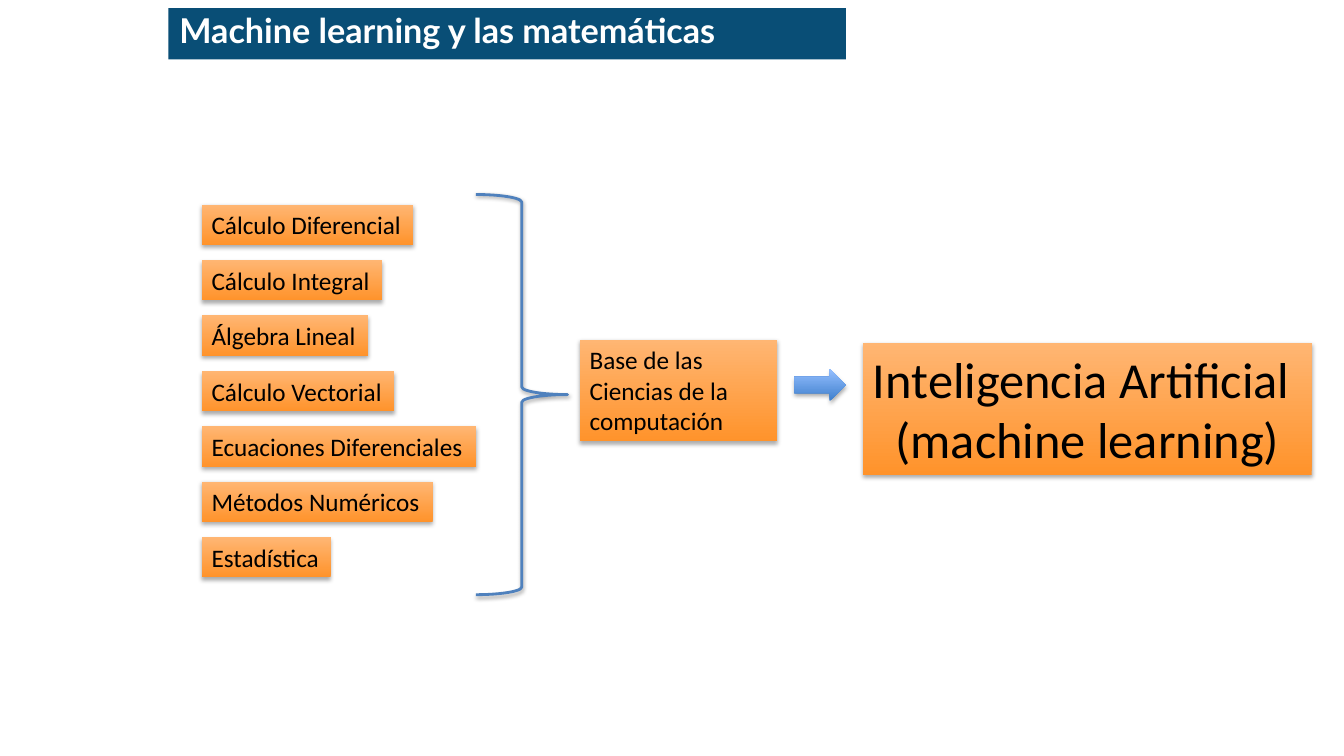
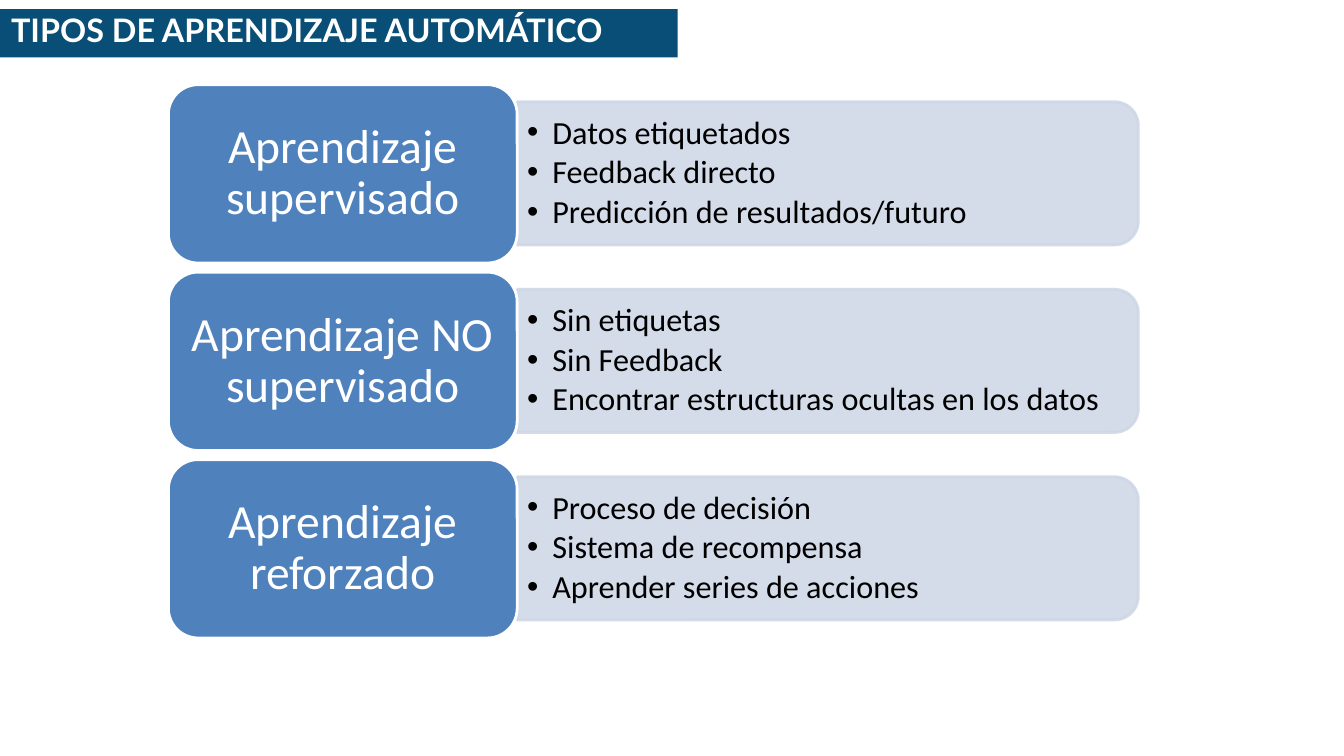
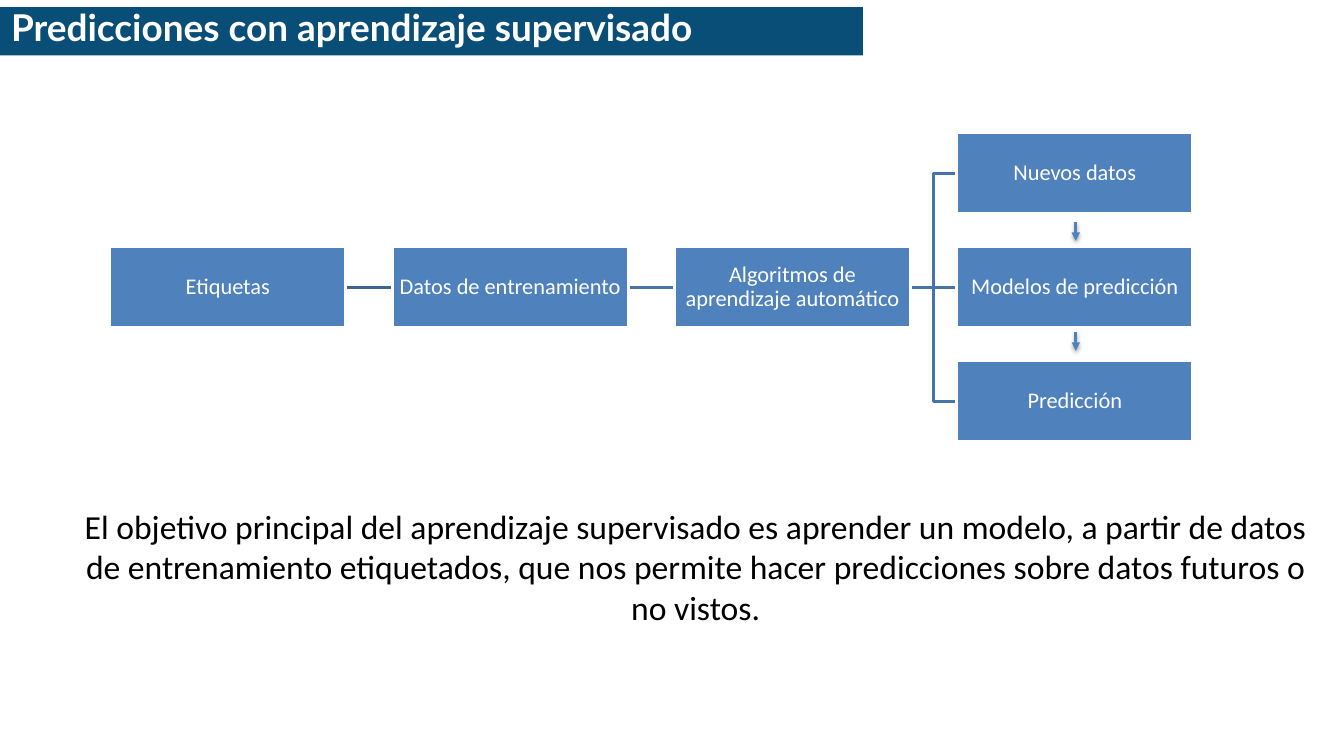
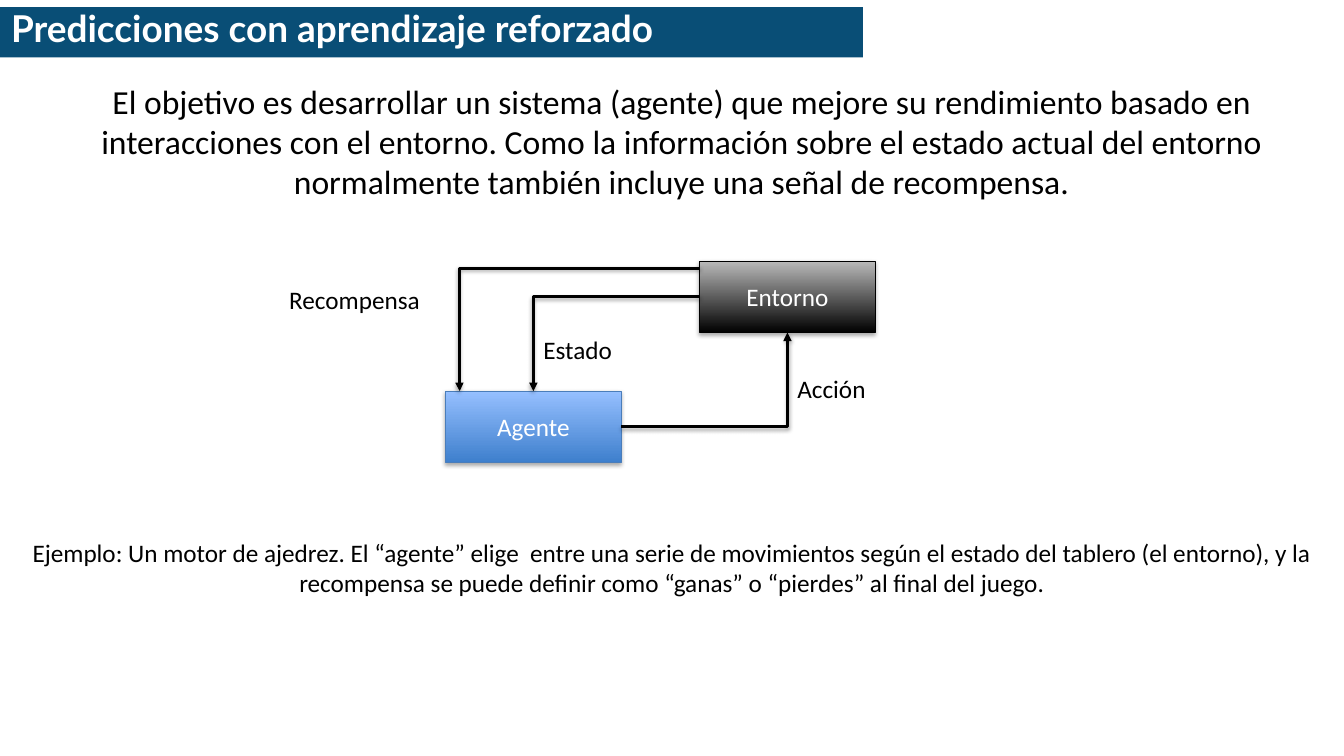
from lxml import etree
from pptx import Presentation
from pptx import util as u
from pptx.dml import color
from pptx.enum import shapes, text
from pptx.oxml import ns

COLORS = {
    "navy": "094E76", "blue": "4F81BD", "blue_edge": "4A7DBA", "pale": "CFD7E7",
    "tree": "4674AA", "tree_dark": "3B6495", "black": "000000", "white": "FFFFFF",
}
GRADIENTS = {
    "orange": ("FF932B", "FFB673"),
    "sky": ("3E7FCD", "96C0FF"),
    "dark": ("000000", "BABABA"),
}
SHAPE = shapes.MSO_SHAPE
LEFT, CENTER = text.PP_ALIGN.LEFT, text.PP_ALIGN.CENTER
TOP, MIDDLE = text.MSO_ANCHOR.TOP, text.MSO_ANCHOR.MIDDLE


def rgb(name):
    return color.RGBColor.from_string(COLORS[name])


def child(parent, tag, **attrs):
    el = etree.SubElement(parent, ns.qn(tag))
    for key, value in attrs.items():
        el.set(key, str(value))
    return el


class Deck:
    def __init__(self):
        self.prs = Presentation()
        self.prs.slide_width, self.prs.slide_height = u.Inches(13.33), u.Inches(7.5)
        self.s = None

    def slide(self, title, size, x, y, w, h):
        self.s = self.prs.slides.add_slide(self.prs.slide_layouts[6])
        sp = self.shape(SHAPE.RECTANGLE, x, y, w, h, "navy")
        self.set_text(sp, [title], size, "white", LEFT, MIDDLE, (0.11, 0.06), 0.8)
        f = sp.text_frame.paragraphs[0].font
        f.name, f.bold = "Lato", True

    def set_text(self, sp, lines, size, ink="black", align=LEFT, anchor=TOP,
                 inset=(0.1, 0.05), spacing=None, bullets=False):
        tf = sp.text_frame
        tf.word_wrap = True
        tf.vertical_anchor = anchor
        tf.margin_left = tf.margin_right = u.Inches(inset[0])
        tf.margin_top = tf.margin_bottom = u.Inches(inset[1])
        for i, line in enumerate(lines):
            p = tf.add_paragraph() if i else tf.paragraphs[0]
            p.text = line
            p.alignment = align
            if bullets:
                p.level = 1
                pPr = p._p.get_or_add_pPr()
                pPr.set("marL", str(u.Inches(0.25)))
                pPr.set("indent", str(u.Inches(-0.25)))
                child(pPr, "a:buFont", typeface="Arial")
                child(pPr, "a:buChar", char="•")
                if i:
                    p.space_before = u.Pt(3.5)
            if spacing:
                p.line_spacing = spacing
            p.font.name, p.font.size = "Calibri", u.Pt(size)
            p.font.color.rgb = rgb(ink)

    def shade(self, effects, alpha, dist):
        shadow = child(effects, "a:outerShdw", blurRad=u.Pt(3.1), dist=u.Pt(dist),
                       dir=5400000, rotWithShape=0)
        child(child(shadow, "a:srgbClr", val=COLORS["black"]), "a:alpha", val=alpha * 1000)

    def shape(self, kind, x, y, w, h, fill=None, line=None, weight=2.0, shadow=None):
        sp = self.s.shapes.add_shape(kind, *map(u.Inches, (x, y, w, h)))
        if fill in GRADIENTS:
            sp.fill.gradient()
            sp.fill.gradient_angle = 90
            for stop, value in zip(sp.fill.gradient_stops, GRADIENTS[fill]):
                stop.color.rgb = color.RGBColor.from_string(value)
        elif fill:
            sp.fill.solid()
            sp.fill.fore_color.rgb = rgb(fill)
        else:
            sp.fill.background()
        if line:
            sp.line.color.rgb = rgb(line)
            sp.line.width = u.Pt(weight)
        else:
            sp.line.fill.background()
        sp.shadow.inherit = False
        if shadow:
            self.shade(sp._element.spPr.find(ns.qn("a:effectLst")), *shadow)
        return sp

    def card(self, x, y, w, h, lines, size=18):
        sp = self.shape(SHAPE.RECTANGLE, x, y, w, h, "orange", shadow=(33, 1.8))
        self.set_text(sp, lines, size)
        return sp

    def node(self, x, y, w, h, label, fill, line, weight=2.0, size=18, shadow=None,
             inset=(0.1, 0.05), spacing=None, kind=SHAPE.RECTANGLE):
        sp = self.shape(kind, x, y, w, h, fill, line, weight, shadow)
        self.set_text(sp, [label], size, "white", CENTER, MIDDLE, inset, spacing)
        return sp

    def textbox(self, x, y, w, h, lines, size, **style):
        sp = self.s.shapes.add_textbox(*map(u.Inches, (x, y, w, h)))
        self.set_text(sp, lines, size, **style)

    def bands(self, x, y, w, h, items):
        sp = self.shape(SHAPE.ROUND_2_SAME_RECTANGLE, x + (w - h) / 2, y - (w - h) / 2,
                        h, w, "pale", "pale")
        sp.rotation = 90
        sp.adjustments[0] = 0.167
        for clr in sp._element.spPr.iter(ns.qn("a:srgbClr")):
            child(clr, "a:alpha", val=88000)
        self.textbox(x, y + 0.07, w - 0.07, h - 0.14, items, 23,
                     anchor=MIDDLE, spacing=0.9, bullets=True)

    def line(self, x1, y1, x2, y2, ink, arrow=False, bend=None):
        straight = x1 == x2 or y1 == y2
        kind = shapes.MSO_CONNECTOR.STRAIGHT if straight else shapes.MSO_CONNECTOR.ELBOW
        c = self.s.shapes.add_connector(kind, *map(u.Inches, (x1, y1, x2, y2)))
        c.line.color.rgb = rgb(ink)
        c.line.width = u.Pt(2)
        spPr = c._element.spPr
        if bend:
            guides = spPr.find(ns.qn("a:prstGeom")).find(ns.qn("a:avLst"))
            child(guides, "a:gd", name="adj1", fmla=f"val {bend}")
        effects = child(spPr, "a:effectLst")
        if arrow:
            child(spPr.find(ns.qn("a:ln")), "a:tailEnd", type="triangle")
            self.shade(effects, 36, 1.6)
        return c

    def corner(self, start, start_site, end, end_site, points):
        c = self.line(*points, "black", arrow=True)
        c._element.spPr.find(ns.qn("a:prstGeom")).set("prst", "bentConnector2")
        c.begin_connect(start, start_site)
        c.end_connect(end, end_site)


def mathematics(d):
    d.slide("Machine learning y las matemáticas", 24.4, 1.67, 0.08, 6.72, 0.51)
    subjects = [
        ("Cálculo Diferencial", 2.1), ("Cálculo Integral", 1.79), ("Álgebra Lineal", 1.65),
        ("Cálculo Vectorial", 1.91), ("Ecuaciones Diferenciales", 2.72),
        ("Métodos Numéricos", 2.29), ("Estadística", 1.28),
    ]
    for i, (subject, w) in enumerate(subjects):
        d.card(2, 2.03 + 0.55 * i, w, 0.4, [subject])
    d.shape(SHAPE.RIGHT_BRACE, 4.72, 1.93, 0.91, 3.97, line="blue", shadow=(36, 1.6))
    d.card(5.75, 3.37, 1.96, 1.01, ["Base de las Ciencias de la computación"])
    sp = d.card(8.56, 3.4, 4.45, 1.31, ["Inteligencia Artificial", "(machine learning)"], 36)
    sp.text_frame.paragraphs[1].alignment = CENTER
    d.shape(SHAPE.RIGHT_ARROW, 7.88, 3.66, 0.51, 0.32, "sky", shadow=(33, 1.8))


def learning_types(d):
    d.slide("TIPOS DE APRENDIZAJE AUTOMÁTICO", 23.1, 0, 0.09, 6.72, 0.48)
    kinds = [
        ("Aprendizaje supervisado",
         ["Datos etiquetados", "Feedback directo", "Predicción de resultados/futuro"]),
        ("Aprendizaje NO supervisado",
         ["Sin etiquetas", "Sin Feedback", "Encontrar estructuras ocultas en los datos"]),
        ("Aprendizaje reforzado",
         ["Proceso de decisión", "Sistema de recompensa", "Aprender series de acciones"]),
    ]
    for i, (name, traits) in enumerate(kinds):
        y = 0.84 + 1.86 * i
        d.bands(5.13, y + 0.17, 6.16, 1.42, traits)
        d.node(1.67, y, 3.46, 1.77, name, "blue", "white", size=34, inset=(0.14, 0.07),
               spacing=0.9, kind=SHAPE.ROUNDED_RECTANGLE)


def supervised(d):
    d.slide("Predicciones con aprendizaje supervisado", 26.4, 0, 0.07, 8.56, 0.48)
    w, h, row = 2.34, 0.8, 1.13
    xs = [1.09 + 2.8 * i for i in range(4)]
    y = 2.45
    mid = y + h / 2
    for x, nxt, ink in zip(xs, xs[1:3], ("tree_dark", "tree")):
        d.line(x + w, mid, nxt, mid, ink)
    for k in (1, 0, -1):
        d.line(xs[2] + w, mid, xs[3], mid + k * row, "tree")
    steps = [
        ("Etiquetas", 0, 0), ("Datos de entrenamiento", 1, 0),
        ("Algoritmos de aprendizaje automático", 2, 0), ("Nuevos datos", 3, -1),
        ("Modelos de predicción", 3, 0), ("Predicción", 3, 1),
    ]
    for label, col, k in steps:
        d.node(xs[col], y + k * row, w, h, label, "blue", "white", size=16,
               inset=(0.01, 0.01), spacing=0.9)
    d.textbox(0.72, 4.97, 12.36, 1.31, [
        "El objetivo principal del aprendizaje supervisado es aprender un modelo, a partir de "
        "datos de entrenamiento etiquetados, que nos permite hacer predicciones sobre datos "
        "futuros o no vistos."], 24, align=CENTER)
    for top in (2.2, 3.29):
        d.line(10.67, top, 10.67, top + 0.19, "blue", arrow=True)


def reinforced(d):
    d.slide("Predicciones con aprendizaje reforzado", 26.4, 0, 0.07, 8.56, 0.5)
    d.textbox(0.18, 0.75, 13.16, 1.31, [
        "El objetivo es desarrollar un sistema (agente) que mejore su rendimiento basado en "
        "interacciones con el entorno. Como la información sobre el estado actual del entorno "
        "normalmente también incluye una señal de recompensa."], 24, align=CENTER)
    d.textbox(0, 5.28, 13.33, 0.71, [
        "Ejemplo: Un motor de ajedrez. El “agente” elige  entre una serie de movimientos según "
        "el estado del tablero (el entorno), y la recompensa se puede definir como “ganas” o "
        "“pierdes” al final del juego."], 18, align=CENTER)
    env = d.node(6.94, 2.59, 1.74, 0.71, "Entorno", "dark", "black", 0.75, shadow=(33, 1.8))
    agent = d.node(4.42, 3.88, 1.74, 0.71, "Agente", "sky", "blue_edge", 0.75, shadow=(33, 1.8))
    d.corner(agent, 3, env, 2, (6.16, 4.23, 7.81, 3.3))
    d.corner(env, 1, agent, 0, (6.94, 2.95, 5.29, 3.88))
    d.line(6.94, 2.66, 4.56, 3.88, "black", arrow=True, bend=100100)
    for label, x, y, w in (("Recompensa", 2.77, 2.77, 1.51), ("Estado", 5.29, 3.27, 0.89),
                           ("Acción", 7.81, 3.65, 0.89)):
        d.textbox(x, y, w, 0.4, [label], 18)


def main():
    d = Deck()
    for build in (mathematics, learning_types, supervised, reinforced):
        build(d)
    d.prs.save("out.pptx")


if __name__ == "__main__":
    main()
